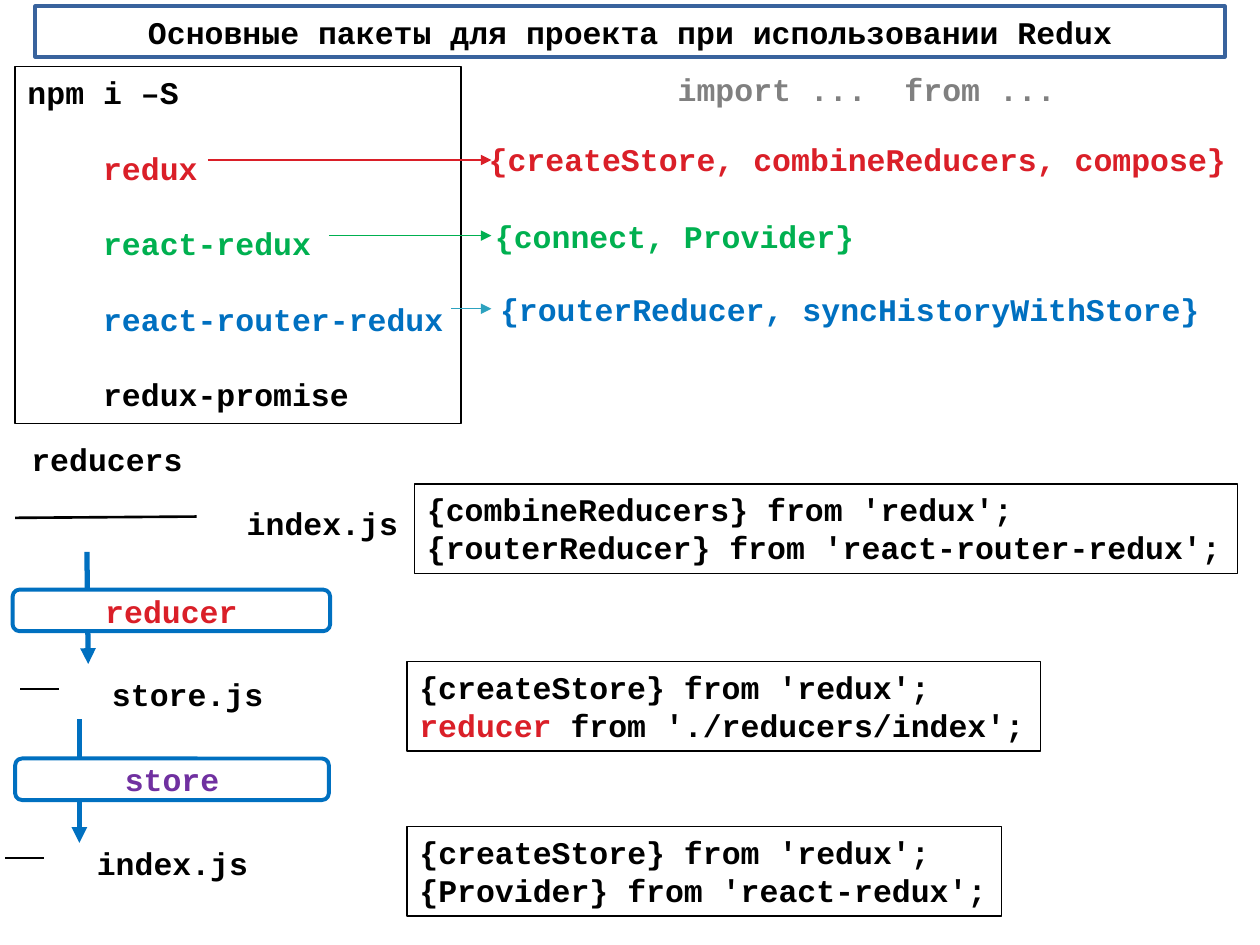
import dataclasses
import typing

import pptx
import pptx.dml.color
import pptx.enum.shapes
import pptx.enum.text
import pptx.oxml.ns
import pptx.oxml.xmlchemy
import pptx.util

Inches = pptx.util.Inches
Kind = pptx.enum.shapes.MSO_SHAPE
Fit = pptx.enum.text.MSO_AUTO_SIZE
BLACK, RED, GREEN, BLUE = "000000", "DA1F28", "00B050", "0070C0"
FONT = {"name": "Courier New", "size": pptx.util.Pt(18), "bold": True}
MID = {"vertical_anchor": pptx.enum.text.MSO_ANCHOR.MIDDLE,
       "word_wrap": True, "auto_size": Fit.NONE}
GROW = {"vertical_anchor": pptx.enum.text.MSO_ANCHOR.TOP,
        "word_wrap": False, "auto_size": Fit.SHAPE_TO_FIT_TEXT}
WRAP = {**GROW, "word_wrap": True}
LEFT = {"alignment": pptx.enum.text.PP_ALIGN.LEFT}
MID_PAR = {"alignment": pptx.enum.text.PP_ALIGN.CENTER}
WIDE = {**LEFT, "line_spacing": 2.0}


class Run(typing.NamedTuple):
    text: str
    tint: str = BLACK


Rows = list[list[Run]]


@dataclasses.dataclass
class Box:
    left: float
    top: float
    width: float
    height: float
    rows: Rows


@dataclasses.dataclass
class Label:
    left: float
    top: float
    width: float
    run: Run
    frame: dict


@dataclasses.dataclass
class Line:
    start: tuple[float, float]
    end: tuple[float, float]
    tint: str
    width: float
    arrow: bool = False


def style(item: typing.Any, look: dict) -> None:
    for key, value in look.items():
        setattr(item, key, value)


def paint(part: typing.Any, tint: str) -> None:
    part.rgb = pptx.dml.color.RGBColor.from_string(tint)


def edge(line: typing.Any, tint: str, width: float) -> None:
    line.fill.solid()
    paint(line.fill.fore_color, tint)
    line.width = pptx.util.Pt(width)


def fill(shape: typing.Any, tint: str) -> None:
    shape.fill.solid()
    paint(shape.fill.fore_color, tint)


def write(frame: typing.Any, rows: Rows, look: dict, par_look: dict) -> None:
    style(frame, look)
    for i, row in enumerate(rows):
        par = frame.add_paragraph() if i else frame.paragraphs[0]
        style(par, par_look)
        for text, tint in row:
            run = par.add_run()
            run.text = text
            style(run.font, FONT)
            paint(run.font.color, tint)


def add_box(shapes: typing.Any, box: Box, look: dict, par_look: dict,
            kind: typing.Any = Kind.RECTANGLE) -> typing.Any:
    shape = shapes.add_shape(kind, *map(Inches, (box.left, box.top, box.width, box.height)))
    shape.shadow.inherit = False
    shape.fill.background()
    edge(shape.line, BLACK, 0.75)
    write(shape.text_frame, box.rows, look, par_look)
    return shape


def add_label(shapes: typing.Any, item: Label) -> None:
    area = map(Inches, (item.left, item.top, item.width, 0.4))
    write(shapes.add_textbox(*area).text_frame, [[item.run]], item.frame, LEFT)


def add_line(shapes: typing.Any, item: Line) -> None:
    kind = pptx.enum.shapes.MSO_CONNECTOR.STRAIGHT
    link = shapes.add_connector(kind, *map(Inches, item.start + item.end))
    edge(link.line, item.tint, item.width)
    make, name = pptx.oxml.xmlchemy.OxmlElement, pptx.oxml.ns.qn
    props = link._element.spPr
    if item.arrow:
        tail = make("a:tailEnd")
        tail.set("type", "triangle")
        props.find(name("a:ln")).append(tail)
    props.append(make("a:effectLst"))


PACKS = [Run("redux", RED), Run("react-redux", GREEN),
         Run("react-router-redux", BLUE), Run("redux-promise")]
STORE = [Run("{createStore} from 'redux';")]
CODE = [
    Box(3.29, 3.84, 6.53, 0.71, [[Run("{combineReducers} from 'redux';")],
                                 [Run("{routerReducer} from 'react-router-redux';")]]),
    Box(3.23, 5.25, 5.03, 0.71, [STORE, [Run("reducer", RED),
                                         Run(" from './reducers/index';")]]),
    Box(3.23, 6.56, 4.72, 0.71, [STORE, [Run("{Provider} from 'react-redux';")]]),
]
LABELS = [
    Label(3.78, 1.06, 6.22, Run("{createStore, combineReducers, compose}", RED), WRAP),
    Label(3.83, 1.67, 3.07, Run("{connect, Provider}", GREEN), GROW),
    Label(3.87, 2.25, 5.78, Run("{routerReducer, syncHistoryWithStore}", BLUE), GROW),
    Label(5.28, 0.51, 3.22, Run("import ...  from ...", "808080"), GROW),
    Label(0.15, 3.44, 1.52, Run("reducers"), WRAP),
    Label(1.86, 3.95, 1.41, Run("index.js"), WRAP),
    Label(0.79, 5.31, 1.41, Run("store.js"), WRAP),
    Label(0.67, 6.65, 1.41, Run("index.js"), WRAP),
]
LINES = [
    Line((1.65, 1.27), (3.9, 1.27), RED, 0.75, True),
    Line((2.61, 1.87), (3.9, 1.87), GREEN, 0.75, True),
    Line((3.58, 2.45), (3.9, 2.45), "2DA2BF", 0.75, True),
    Line((0.12, 4.11), (1.56, 4.1), BLACK, 1.5),
    Line((0.16, 5.47), (0.47, 5.47), BLACK, 1.5),
    Line((0.04, 6.81), (0.35, 6.81), BLACK, 1.5),
    Line((0.69, 4.38), (0.7, 5.27), BLUE, 3, True),
    Line((0.63, 5.71), (0.63, 6.69), BLUE, 3, True),
]
STEPS = [
    Box(0.1, 4.68, 2.52, 0.33, [[Run("reducer", RED)]]),
    Box(0.12, 6.02, 2.49, 0.33, [[Run("store", "7030A0")]]),
]


def main() -> None:
    deck = pptx.Presentation()
    style(deck, {"slide_width": Inches(10), "slide_height": Inches(7.5)})
    shapes = deck.slides.add_slide(deck.slide_layouts[5]).shapes

    title = shapes.title
    style(title, {"left": Inches(0.28), "top": Inches(0.05),
                  "width": Inches(9.44), "height": Inches(0.4)})
    fill(title, "FFFFFF")
    edge(title.line, "39639D", 2.25)
    head = Run("Основные пакеты для проекта при использовании Redux")
    write(title.text_frame, [[head]], MID, MID_PAR)

    rows = [[Run("npm i –S")]] + [[pack] for pack in PACKS]
    packs = add_box(shapes, Box(0.12, 0.53, 3.54, 2.83, rows), WRAP, WIDE)
    first, *rest = packs.text_frame.paragraphs
    first.line_spacing = 1.0
    for par in rest:
        par._p.get_or_add_pPr().set("marL", str(Inches(0.6)))

    for box in CODE:
        add_box(shapes, box, GROW, LEFT)
    for item in LABELS:
        add_label(shapes, item)
    for item in LINES:
        add_line(shapes, item)
    for box in STEPS:
        step = add_box(shapes, box, MID, MID_PAR, Kind.ROUNDED_RECTANGLE)
        fill(step, "FFFFFF")
        edge(step.line, BLUE, 2.25)
    deck.save("out.pptx")


if __name__ == "__main__":
    main()
